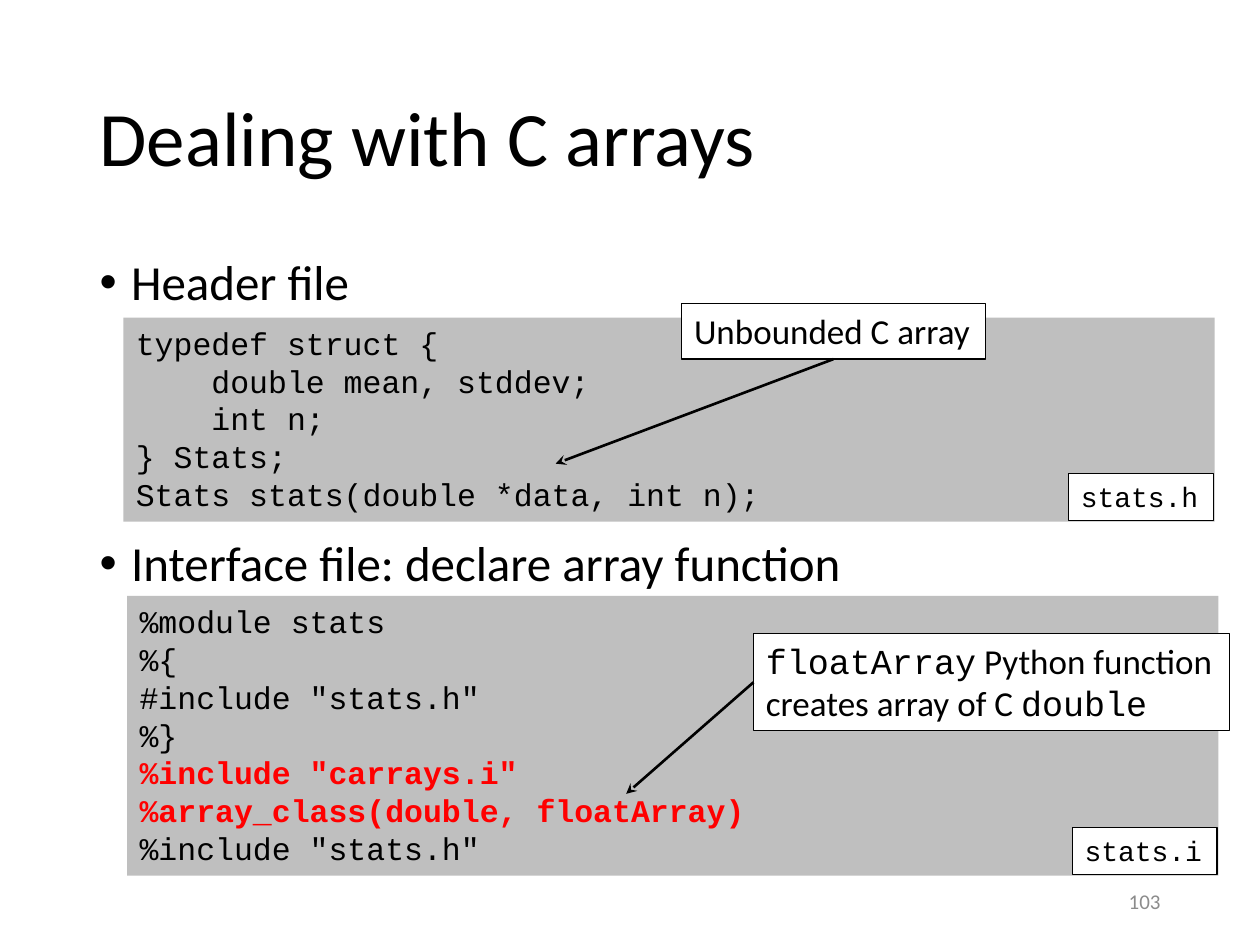
from lxml import etree
from pptx import Presentation
from pptx.dml.color import RGBColor
from pptx.enum.shapes import MSO_CONNECTOR, MSO_SHAPE
from pptx.enum.text import MSO_ANCHOR, MSO_AUTO_SIZE, PP_ALIGN
from pptx.oxml.ns import qn
from pptx.util import Inches, Pt

RECTANGLE, STRAIGHT = MSO_SHAPE.RECTANGLE, MSO_CONNECTOR.STRAIGHT
TOP, MIDDLE = MSO_ANCHOR.TOP, MSO_ANCHOR.MIDDLE
LEFT, RIGHT = PP_ALIGN.LEFT, PP_ALIGN.RIGHT
BOTTOM_SIDE, LEFT_SIDE = 2, 1

COLORS = {"text": "000000", "panel": "BFBFBF", "label": "FFFFFF",
          "accent": "FF0000", "number": "8C8C8C"}
SANS, MONO = "Calibri", "Courier New"

TITLE = "Dealing with C arrays"
BULLETS = [("Header file", 0), ("Interface file: declare array function", 130)]
PAGE_NUMBER = "103"
MARGIN, CONTENT_WIDTH = 0.69, 8.62
PANEL_WIDTH = 8.66
LABEL_SIZE = (1.15, 0.37)

# Each callout is a list of (text, font) spans; None is a line break.
EXAMPLES = [
    {"file": "stats.h", "panel": (0.98, 2.52), "height": 1.62,
     "code": ["typedef struct {", "    double mean, stddev;", "    int n;",
              "} Stats;", "Stats stats(double *data, int n);"],
     "accented": [],
     "callout": [("Unbounded C array", SANS)],
     "callout_at": (5.41, 2.41, 2.41, 0.44),
     "side": BOTTOM_SIDE, "target": (4.41, 3.68)},
    {"file": "stats.i", "panel": (1.01, 4.73), "height": 2.22,
     "code": ["%module stats", "%{", '#include "stats.h"', "%}",
              '%include "carrays.i"', "%array_class(double, floatArray)",
              '%include "stats.h"'],
     "accented": [4, 5],
     "callout": [("floatArray", MONO), (" Python function", SANS), None,
                 ("creates array of C ", SANS), ("double", MONO)],
     "callout_at": (5.98, 5.03, 3.78, 0.77),
     "side": LEFT_SIDE, "target": (4.97, 6.3)},
]


def color(name):
    return RGBColor.from_string(COLORS[name])


def add_span(para, text, font, size, tint="text", bold=False):
    span = para.add_run()
    span.text = text
    for key, value in {"name": font, "size": Pt(size), "bold": bold}.items():
        setattr(span.font, key, value)
    span.font.color.rgb = color(tint)


def place(shape, left, top, width, height):
    frame = {"left": left, "top": top, "width": width, "height": height}
    for key, value in frame.items():
        setattr(shape, key, Inches(value))


def add_box(slide, at, fill, outlined=True):
    """Add a filled rectangle and return it with its first paragraph."""
    box = slide.shapes.add_shape(RECTANGLE, *map(Inches, at))
    box.shadow.inherit = False
    box.fill.solid()
    box.fill.fore_color.rgb = color(fill)
    if outlined:
        box.line.color.rgb = color("text")
        box.line.width = Pt(0.75)
    else:
        box.line.fill.background()
    box.text_frame.word_wrap = not outlined
    box.text_frame.vertical_anchor = TOP
    para = box.text_frame.paragraphs[0]
    para.alignment = LEFT
    return box, para


def add_arrow(slide, box, side, target):
    end = [Inches(value) for value in target]
    arrow = slide.shapes.add_connector(STRAIGHT, box.left, box.top, *end)
    arrow.begin_connect(box, side)
    arrow.line.color.rgb = color("text")
    arrow.line.width = Pt(1.5)
    etree.SubElement(arrow.line._get_or_add_ln(), qn("a:tailEnd"), type="stealth")
    etree.SubElement(arrow._element.spPr, qn("a:effectLst"))


def add_example(slide, example):
    left, top = example["panel"]
    height = example["height"]
    panel, para = add_box(slide, (left, top, PANEL_WIDTH, height),
                          "panel", outlined=False)
    for index, line in enumerate(example["code"]):
        if index:
            para = panel.text_frame.add_paragraph()
            para.alignment = LEFT
        accented = index in example["accented"]
        add_span(para, line, MONO, 18, "accent" if accented else "text", accented)

    width, label_height = LABEL_SIZE
    corner = (left + PANEL_WIDTH - width - 0.01, top + height - label_height - 0.01)
    label, para = add_box(slide, (*corner, *LABEL_SIZE), "label")
    add_span(para, example["file"], MONO, 16)

    callout, para = add_box(slide, example["callout_at"], "label")
    for part in example["callout"]:
        if part is None:
            para.add_line_break()
        else:
            add_span(para, *part, 20)
    add_arrow(slide, callout, example["side"], example["target"])


def fill_placeholders(slide):
    title, body = slide.placeholders
    place(title, MARGIN, 0.4, CONTENT_WIDTH, 1.45)
    place(body, MARGIN, 2, CONTENT_WIDTH, 4.76)
    for shape, anchor in ((title, MIDDLE), (body, TOP)):
        shape.text_frame.auto_size = MSO_AUTO_SIZE.NONE
        shape.text_frame.vertical_anchor = anchor

    heading = title.text_frame.paragraphs[0]
    heading.alignment, heading.line_spacing = LEFT, 0.9
    add_span(heading, TITLE, SANS, 44)

    for index, (text, gap) in enumerate(BULLETS):
        frame = body.text_frame
        para = frame.add_paragraph() if index else frame.paragraphs[0]
        para.line_spacing, para.space_before = 0.9, Pt(gap)
        properties = para._p.get_or_add_pPr()
        properties.set("marL", str(Inches(0.25)))
        properties.set("indent", str(Inches(-0.25)))
        etree.SubElement(properties, qn("a:buFont"), typeface="Arial")
        etree.SubElement(properties, qn("a:buChar"), char="•")
        add_span(para, text, SANS, 28)


def add_page_number(slide):
    box = slide.shapes.add_textbox(*map(Inches, (7.06, 6.95, 2.25, 0.4)))
    box.text_frame.word_wrap = True
    box.text_frame.vertical_anchor = MIDDLE
    para = box.text_frame.paragraphs[0]
    para.alignment = RIGHT
    add_span(para, PAGE_NUMBER, SANS, 12, "number")


def main():
    deck = Presentation()
    deck.slide_width, deck.slide_height = Inches(10), Inches(7.5)
    slide = deck.slides.add_slide(deck.slide_layouts[1])
    fill_placeholders(slide)
    for example in EXAMPLES:
        add_example(slide, example)
    add_page_number(slide)
    deck.save("out.pptx")


if __name__ == "__main__":
    main()
